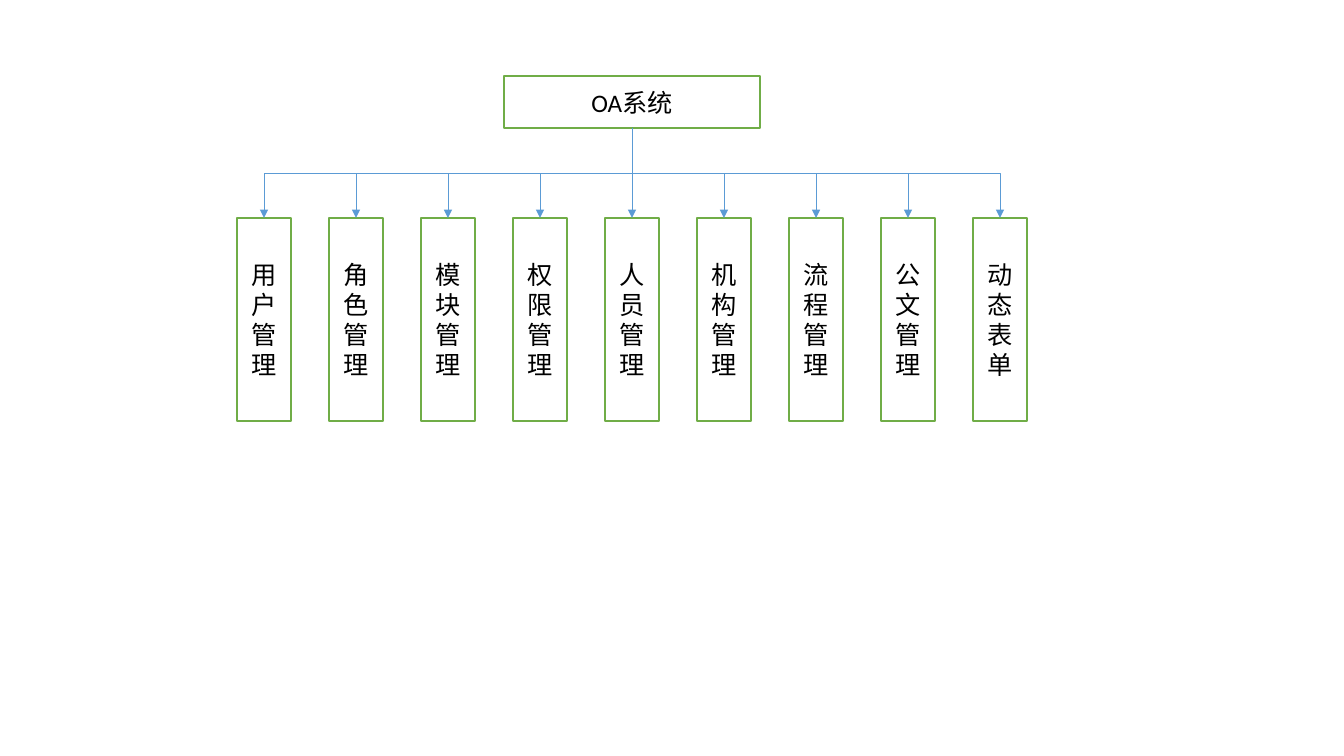
from lxml import etree
from pptx import Presentation
from pptx.dml.color import RGBColor
from pptx.enum.shapes import MSO_CONNECTOR, MSO_SHAPE
from pptx.enum.text import MSO_ANCHOR, PP_ALIGN
from pptx.oxml.ns import qn
from pptx.util import Pt

RECTANGLE = MSO_SHAPE.RECTANGLE
ELBOW = MSO_CONNECTOR.ELBOW
CENTER = PP_ALIGN.CENTER
MIDDLE = MSO_ANCHOR.MIDDLE

WHITE = RGBColor(0xFF, 0xFF, 0xFF)
BLACK = RGBColor(0x00, 0x00, 0x00)
GREEN = RGBColor(0x70, 0xAD, 0x47)
BLUE = RGBColor(0x5B, 0x9B, 0xD5)

EMU_PER_PX = 914400 / 100.8
SLIDE_SIZE = (1344, 756)

SYSTEM_BOX = (504, 76, 256, 52)
MODULE_LEFT, MODULE_TOP, MODULE_WIDTH, MODULE_HEIGHT = 237, 218, 54, 203
MODULE_PITCH = 92
BOTTOM_SITE, TOP_SITE = 2, 0

# Each module name is a list of paragraphs
MODULES = [["用户管理"], ["角色管理"], ["模块", "管理"], ["权限管理"], ["人员管理"],
           ["机构管理"], ["流程管理"], ["公文管理"], ["动态表单"]]


def px(pixels):
    return round(pixels * EMU_PER_PX)


def add_box(slide, bounds, paragraphs):
    box = slide.shapes.add_shape(RECTANGLE, *map(px, bounds))
    box.shadow.inherit = False
    box.fill.solid()
    box.fill.fore_color.rgb = WHITE
    box.line.color.rgb = GREEN
    box.line.width = Pt(1)
    frame = box.text_frame
    frame.word_wrap = True
    frame.vertical_anchor = MIDDLE
    for index, text in enumerate(paragraphs):
        paragraph = frame.add_paragraph() if index else frame.paragraphs[0]
        paragraph.alignment = CENTER
        run = paragraph.add_run()
        run.text = text
        run.font.name = "Calibri"
        run.font.size = Pt(18)
        run.font.color.rgb = BLACK
    return box


def add_branch(slide, parent, child):
    """Elbow arrow that leaves the parent downwards and enters the child from above."""
    start_x = parent.left + parent.width // 2
    start_y = parent.top + parent.height
    end_x = child.left + child.width // 2
    branch = slide.shapes.add_connector(ELBOW, start_x, start_y, end_x, child.top)
    branch.begin_connect(parent, BOTTOM_SITE)
    branch.end_connect(child, TOP_SITE)

    # The frame lies on its side, so that the elbow's first leg is vertical
    turns_left = end_x < start_x
    middle_x, middle_y = (start_x + end_x) // 2, (start_y + child.top) // 2
    half_drop = (child.top - start_y) // 2 * (1 if turns_left else -1)
    half_span = abs(end_x - start_x) // 2
    branch.begin_x, branch.begin_y = middle_x - half_drop, middle_y - half_span
    branch.end_x, branch.end_y = middle_x + half_drop, middle_y + half_span
    properties = branch.element.spPr
    degrees = 90 if turns_left else 270
    properties.find(qn("a:xfrm")).set("rot", str(degrees * 60000))

    # Line, arrowhead and no shadow
    branch.line.color.rgb = BLUE
    branch.line.width = Pt(0.5)
    etree.SubElement(properties.find(qn("a:ln")), qn("a:tailEnd"), type="triangle")
    etree.SubElement(properties, qn("a:effectLst"))


def main():
    presentation = Presentation()
    presentation.slide_width, presentation.slide_height = map(px, SLIDE_SIZE)
    slide = presentation.slides.add_slide(presentation.slide_layouts[6])

    # System and its modules
    system = add_box(slide, SYSTEM_BOX, ["OA系统"])
    modules = [
        add_box(slide, (MODULE_LEFT + column * MODULE_PITCH, MODULE_TOP,
                        MODULE_WIDTH, MODULE_HEIGHT), name)
        for column, name in enumerate(MODULES)
    ]

    # Branches from the system to each module
    for module in modules:
        add_branch(slide, system, module)

    presentation.save("out.pptx")


main()
